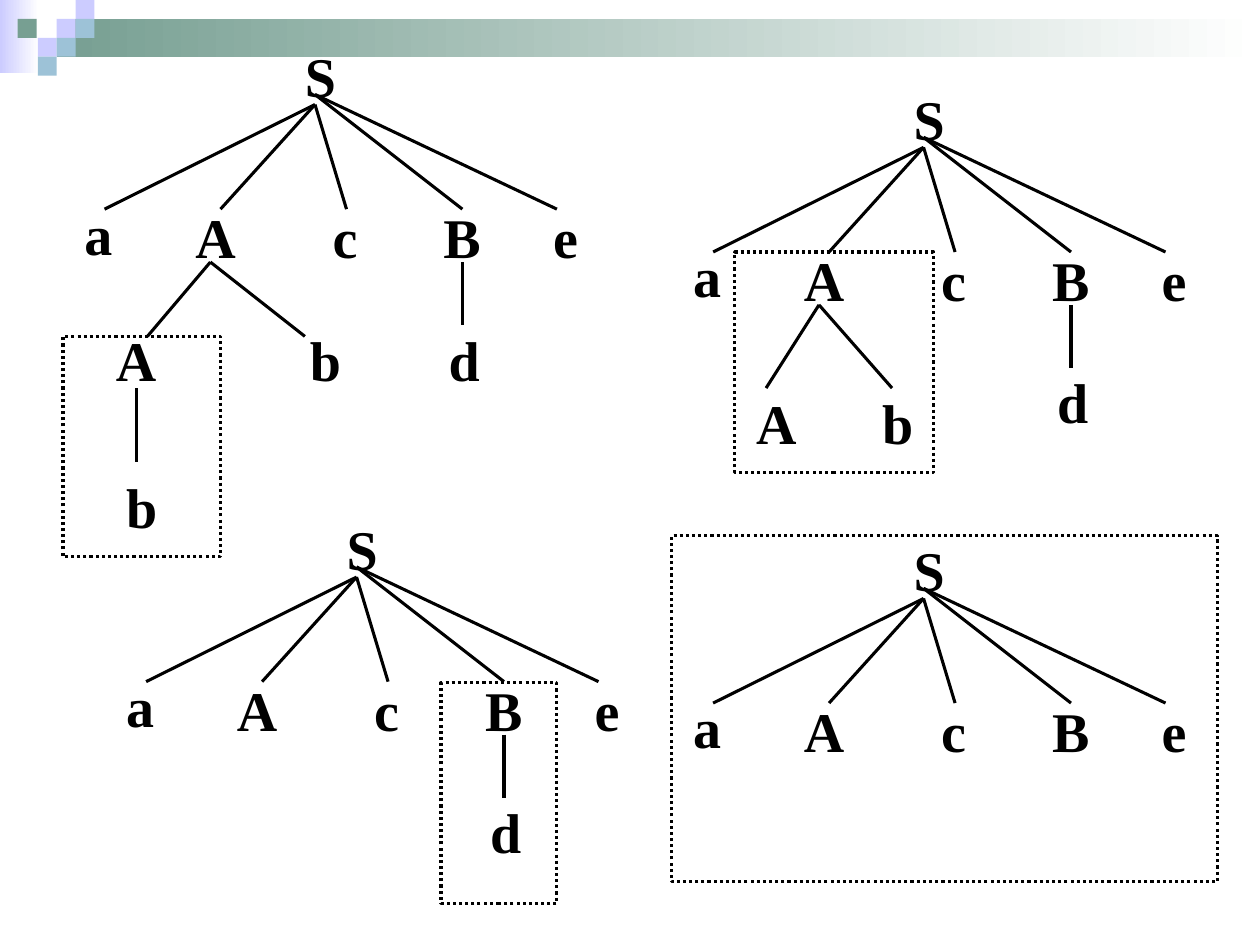
from lxml import etree
from pptx import Presentation
from pptx.dml.color import RGBColor as RGB
from pptx.enum.dml import MSO_LINE as DASH
from pptx.enum.shapes import MSO_CONNECTOR as CONN, MSO_SHAPE as SHAPE
from pptx.enum.text import MSO_AUTO_SIZE as FIT, PP_ALIGN as ALIGN
from pptx.oxml.ns import qn
from pptx.util import Inches, Pt

COLORS = {"ink": "000000", "white": "FFFFFF", "lilac": "CCCCFF",
          "green": "779F92", "blue": "9DC2D7"}
FONT = {"name": "Times New Roman", "size": Pt(32), "bold": True}
FRAME = {"margin_left": 0, "margin_top": 0, "margin_right": 0, "margin_bottom": 0,
         "word_wrap": False, "auto_size": FIT.SHAPE_TO_FIT_TEXT}
WIDTHS = {"S": 0.25, "A": 0.32, "B": 0.3, "a": 0.22, "b": 0.25,
          "c": 0.2, "d": 0.25, "e": 0.2}

BANDS = [(0, 0, 0.31, 0.58, "lilac"), (0.45, 0.15, 9.55, 0.3, "green")]
TILE = 0.15
TILES = [(0.45, 0.15, "lilac"), (0.6, 0, "lilac"), (0.6, 0.15, "blue"),
         (0.3, 0.3, "lilac"), (0.14, 0.15, "green"), (0.45, 0.3, "blue"),
         (0.3, 0.45, "blue")]

ROOT_LETTERS = [("S", -0.08, -0.5), ("a", -1.83, 0.75), ("A", -0.95, 0.78),
                ("c", 0.14, 0.78), ("B", 1.02, 0.78), ("e", 1.89, 0.78)]
ROOT_BRANCHES = [(0, 0, -1.67, 0.83), (0, 0, -0.75, 0.83), (0, 0, 0.25, 0.83),
                 (0, -0.08, 1.17, 0.83), (0, -0.08, 1.92, 0.83)]
D_LETTER = ("d", 1.06, 1.75)
D_BRANCH = (1.17, 1.25, 1.17, 1.75)

TREES = [
    {"apex": (2.5, 0.83), "handle": (0.5, 2.67, 1.25, 1.75),
     "letters": [D_LETTER, ("A", -1.58, 1.75), ("b", -0.04, 1.75), ("b", -1.5, 2.92)],
     "branches": [D_BRANCH, (-0.83, 1.25, -1.33, 1.84), (-0.83, 1.25, -0.08, 1.84),
                  (-1.42, 2.25, -1.42, 2.84)]},
    {"apex": (7.33, 1.17), "handle": (5.83, 2, 1.58, 1.75),
     "letters": [D_LETTER, ("A", -1.33, 1.91), ("b", -0.33, 1.91)],
     "branches": [D_BRANCH, (-0.83, 1.25, -1.25, 1.91), (-0.83, 1.25, -0.25, 1.91)]},
    {"apex": (2.83, 4.58), "handle": (3.5, 5.42, 0.92, 1.75),
     "letters": [D_LETTER], "branches": [D_BRANCH]},
    {"apex": (7.33, 4.75), "handle": (5.33, 4.25, 4.33, 2.75),
     "letters": [], "branches": []},
]


class Painter:
    """Draws parse trees and their frames on one slide."""

    def __init__(self, slide):
        self.s = slide
        self.width = Pt(1.75)

    def color(self, name):
        return RGB.from_string(COLORS[name])

    def rect(self, x, y, w, h):
        sp = self.s.shapes.add_shape(SHAPE.RECTANGLE, *map(Inches, (x, y, w, h)))
        sp.shadow.inherit = False
        return sp

    def tile(self, x, y, color):
        sp = self.rect(x, y, TILE, TILE)
        sp.fill.solid()
        sp.fill.fore_color.rgb = self.color(color)
        sp.line.fill.background()

    def band(self, x, y, w, h, color):
        sp = self.rect(x, y, w, h)
        sp.fill.gradient()
        sp.fill.gradient_angle = 180
        for stop, name in zip(sp.fill.gradient_stops, ("white", color)):
            stop.color.rgb = self.color(name)
        sp.line.fill.background()

    def outline(self, line):
        line.color.rgb = self.color("ink")
        line.width = self.width

    def handle(self, x, y, w, h):
        sp = self.rect(x, y, w, h)
        sp.fill.background()
        self.outline(sp.line)
        sp.line.dash_style = DASH.ROUND_DOT

    def branch(self, x1, y1, x2, y2):
        c = self.s.shapes.add_connector(CONN.STRAIGHT, *map(Inches, (x1, y1, x2, y2)))
        self.outline(c.line)
        etree.SubElement(c._element.spPr, qn("a:effectLst"))

    def letter(self, text, x, y):
        box = self.s.shapes.add_textbox(*map(Inches, (x, y, WIDTHS[text], 0.53)))
        tf = box.text_frame
        for key, value in FRAME.items():
            setattr(tf, key, value)
        p = tf.paragraphs[0]
        p.alignment = ALIGN.JUSTIFY
        r = p.add_run()
        r.text = text
        for key, value in FONT.items():
            setattr(r.font, key, value)
        r.font.color.rgb = self.color("ink")

    def tree(self, apex, handle, letters, branches):
        ax, ay = apex
        self.handle(*handle)
        for text, x, y in ROOT_LETTERS + letters:
            self.letter(text, ax + x, ay + y)
        for x1, y1, x2, y2 in ROOT_BRANCHES + branches:
            self.branch(ax + x1, ay + y1, ax + x2, ay + y2)


def main():
    prs = Presentation()
    prs.slide_width, prs.slide_height = Inches(10), Inches(7.5)
    painter = Painter(prs.slides.add_slide(prs.slide_layouts[6]))
    for band in BANDS:
        painter.band(*band)
    for tile in TILES:
        painter.tile(*tile)
    for tree in TREES:
        painter.tree(**tree)
    prs.save("out.pptx")


if __name__ == "__main__":
    main()
